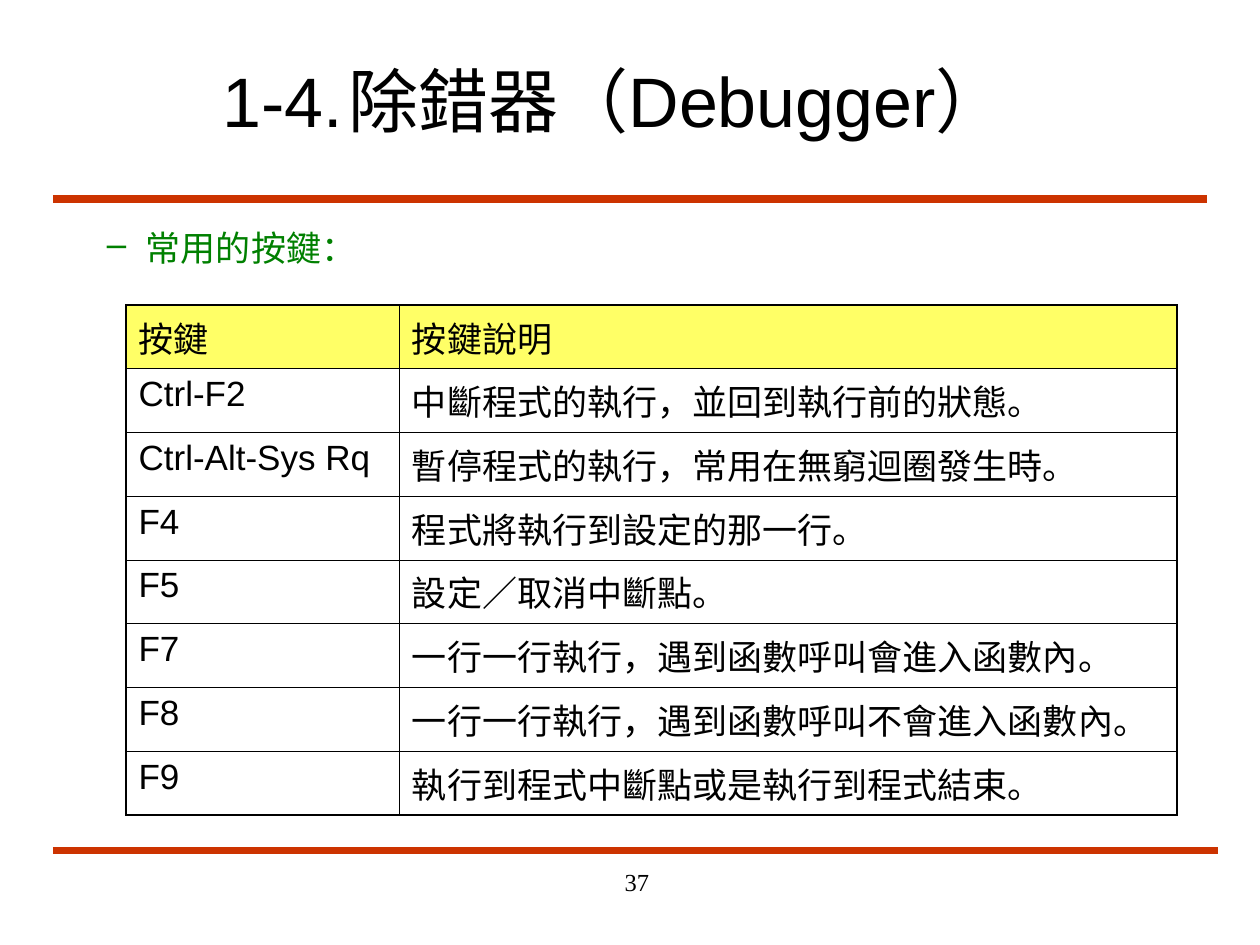
"""Build the debugger shortcut keys slide."""
from lxml import etree
from pptx import Presentation
from pptx.dml.color import RGBColor
from pptx.enum.shapes import MSO_CONNECTOR
from pptx.enum.text import MSO_ANCHOR, PP_ALIGN
from pptx.oxml.ns import qn
from pptx.util import Inches, Pt

STRAIGHT = MSO_CONNECTOR.STRAIGHT
TOP, MIDDLE = MSO_ANCHOR.TOP, MSO_ANCHOR.MIDDLE
LEFT, RIGHT = PP_ALIGN.LEFT, PP_ALIGN.RIGHT
COLORS = {"rule": "CC3300", "text": "000000", "green": "008000",
          "header": "FFFF66", "cell": "FFFFFF"}
KEYS = [
    ("按鍵", "按鍵說明"),
    ("Ctrl-F2", "中斷程式的執行，並回到執行前的狀態。"),
    ("Ctrl-Alt-Sys Rq", "暫停程式的執行，常用在無窮迴圈發生時。"),
    ("F4", "程式將執行到設定的那一行。"),
    ("F5", "設定／取消中斷點。"),
    ("F7", "一行一行執行，遇到函數呼叫會進入函數內。"),
    ("F8", "一行一行執行，遇到函數呼叫不會進入函數內。"),
    ("F9", "執行到程式中斷點或是執行到程式結束。"),
]


def add_run(p, text, size, color="text", font="Arial"):
    r = p.add_run()
    r.text = text
    r.font.size = Pt(size)
    r.font.name = font
    r.font.color.rgb = RGBColor.from_string(COLORS[color])


def add_box(x, y, w, h, anchor=TOP, align=LEFT):
    tf = s.shapes.add_textbox(Inches(x), Inches(y), Inches(w), Inches(h)).text_frame
    tf.word_wrap = True
    tf.vertical_anchor = anchor
    p = tf.paragraphs[0]
    p.alignment = align
    return p


prs = Presentation()
prs.slide_width, prs.slide_height = Inches(10), Inches(7.5)
s = prs.slides.add_slide(prs.slide_layouts[6])

for y, right in ((1.58, 9.58), (6.75, 9.67)):
    rule = s.shapes.add_connector(STRAIGHT, Inches(0.42), Inches(y), Inches(right), Inches(y))
    rule.line.color.rgb = RGBColor.from_string(COLORS["rule"])
    rule.line.width = Pt(4.5)
    etree.SubElement(rule._element.spPr, qn("a:effectLst"))

p = add_box(1.67, 0.33, 7.58, 0.92, MIDDLE)
tabs = etree.SubElement(p._p.get_or_add_pPr(), qn("a:tabLst"))
etree.SubElement(tabs, qn("a:tab"), pos=str(Inches(1)), algn="l")
add_run(p, "1-4.\t除錯器（Debugger）", 40)

p = add_box(0.25, 1.75, 9.5, 0.5)
pPr = p._p.get_or_add_pPr()
pPr.set("marL", str(Inches(0.81)))
pPr.set("indent", str(Inches(-0.31)))
bullet = etree.SubElement(pPr, qn("a:buClr"))
etree.SubElement(bullet, qn("a:srgbClr"), val=COLORS["green"])
etree.SubElement(pPr, qn("a:buChar"), char="–")
add_run(p, "常用的按鍵：", 20, "green")

rows, cols = len(KEYS), len(KEYS[0])
table = s.shapes.add_table(rows, cols, Inches(1), Inches(2.42),
                           Inches(8.34), Inches(4.05)).table
for column, width in zip(table.columns, (2.17, 6.17)):
    column.width = Inches(width)
for i, texts in enumerate(KEYS):
    table.rows[i].height = Inches(4.05 / rows)
    for j, text in enumerate(texts):
        cell = table.cell(i, j)
        cell.vertical_anchor = TOP if i else MIDDLE
        outer = {"lnL": j == 0, "lnR": j == cols - 1, "lnT": i == 0, "lnB": i == rows - 1}
        for side, is_outer in outer.items():
            ln = etree.SubElement(cell._tc.get_or_add_tcPr(), qn("a:" + side),
                                  w=str(Pt(1.08 if is_outer else 0.45)))
            fill = etree.SubElement(ln, qn("a:solidFill"))
            etree.SubElement(fill, qn("a:srgbClr"), val=COLORS["text"])
        cell.fill.solid()
        cell.fill.fore_color.rgb = RGBColor.from_string(COLORS["cell" if i else "header"])
        add_run(cell.text_frame.paragraphs[0], text, 20)

p = add_box(3.17, 6.83, 2.08, 0.5, align=RIGHT)
add_run(p, "37", 14, font="Times New Roman")

prs.save("out.pptx")
